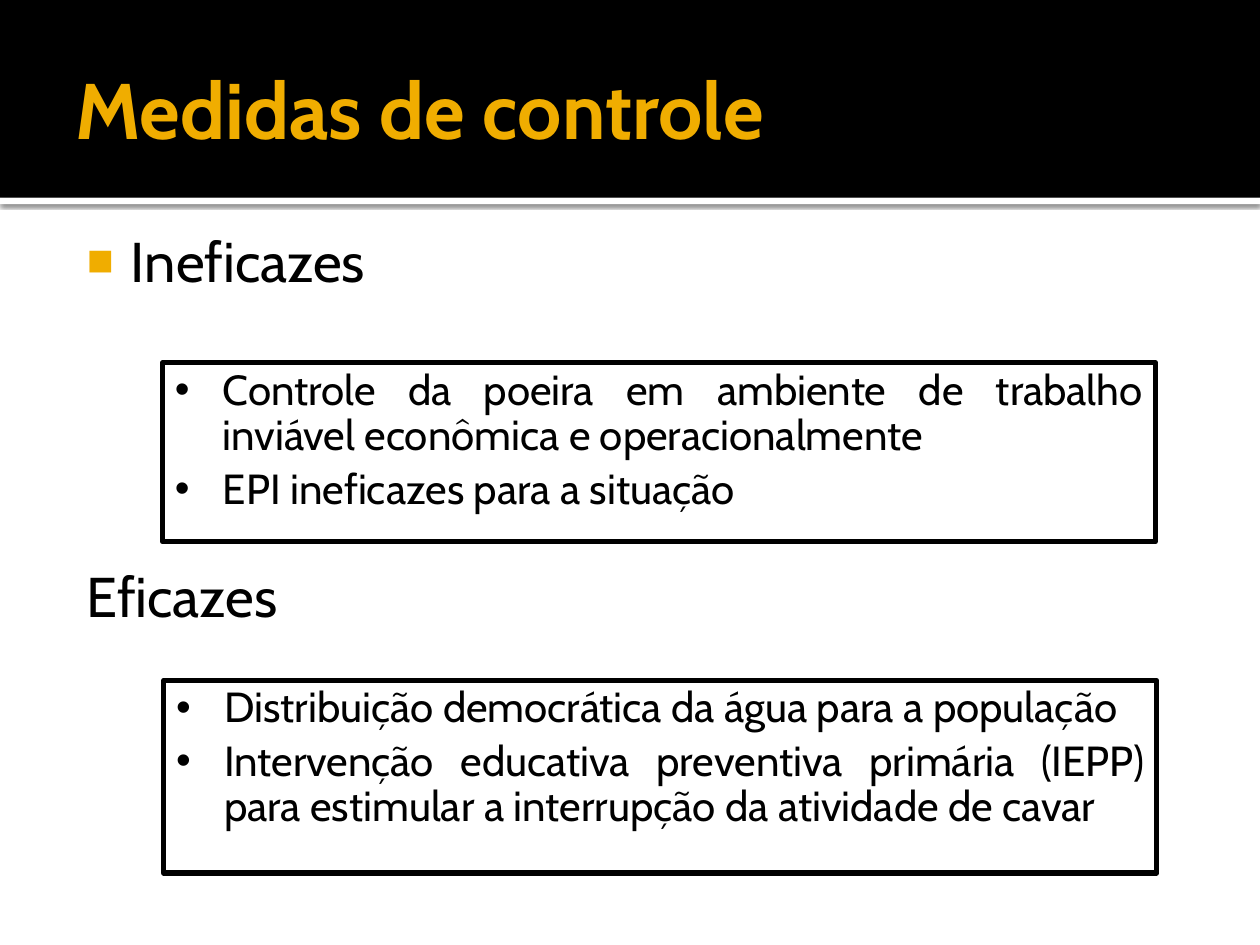
"""Build the slide on ineffective and effective control measures."""
from lxml import etree
from pptx import Presentation
from pptx import util as u
from pptx.dml.color import RGBColor
from pptx.enum import shapes, text
from pptx.oxml import parse_xml
from pptx.oxml.ns import nsdecls, qn

BLACK, WHITE, AMBER = "000000", "FFFFFF", "F0AD00"


def color(value):
    return RGBColor.from_string(value)


def write(paragraph, words, size=24, ink=BLACK, bold=False, bullet=None, bullet_ink=None,
          bullet_size=100, left=0, hanging=0, align=text.PP_ALIGN.LEFT, line=1, before=0):
    paragraph.alignment = align
    paragraph.line_spacing = line
    paragraph.space_before = u.Pt(before)
    properties = paragraph._p.get_or_add_pPr()
    properties.set("marL", str(u.Inches(left)))
    properties.set("indent", str(-u.Inches(hanging)))
    if bullet:
        tint = etree.SubElement(properties, qn("a:buClr"))
        etree.SubElement(tint, qn("a:srgbClr"), val=bullet_ink or ink)
        etree.SubElement(properties, qn("a:buSzPct"), val=str(bullet_size * 1000))
        etree.SubElement(properties, qn("a:buFont"), typeface="Arial")
        etree.SubElement(properties, qn("a:buChar"), char=bullet)
    span = paragraph.add_run()
    span.text = words
    span.font.name = "Cabin"
    span.font.size = u.Pt(size)
    span.font.bold = bold
    span.font.color.rgb = color(ink)


deck = Presentation()
deck.slide_width, deck.slide_height = u.Inches(10), u.Inches(7.5)
page = deck.slides.add_slide(deck.slide_layouts[6])

for top, height, fill in [(1.57, 0.05, WHITE), (0, 1.57, BLACK)]:
    band = page.shapes.add_shape(shapes.MSO_SHAPE.RECTANGLE, 0, u.Inches(top),
                                 u.Inches(10), u.Inches(height))
    band.shadow.inherit = False
    band.fill.solid()
    band.fill.fore_color.rgb = color(fill)
    band.line.fill.background()
    if fill == WHITE:
        effects = band._element.spPr.find(qn("a:effectLst"))
        effects.append(parse_xml(
            f'<a:outerShdw {nsdecls("a")} blurRad="{u.Pt(2.5)}" dist="{u.Pt(0.8)}" '
            f'dir="5400000" algn="tl" rotWithShape="0"><a:srgbClr val="{BLACK}">'
            '<a:alpha val="60000"/></a:srgbClr></a:outerShdw>'))

title = page.shapes.add_textbox(u.Inches(0.5), u.Inches(0.17), u.Inches(9), u.Inches(1.37))
title_frame = title.text_frame
title_frame.word_wrap = True
title_frame.vertical_anchor = text.MSO_ANCHOR.MIDDLE
title_frame.margin_right = u.Inches(0.05)
write(title_frame.paragraphs[0], "Medidas de controle", size=45, ink=AMBER, bold=True)

headings = page.shapes.add_textbox(u.Inches(0.5), u.Inches(1.7), u.Inches(9), u.Inches(5.51))
heading_frame = headings.text_frame
heading_frame.word_wrap = True
heading_frame.margin_left = u.Inches(0.06)
heading_frame.margin_top = u.Inches(0.1)
write(heading_frame.paragraphs[0], "Ineficazes", size=32, bullet="■", bullet_ink=AMBER,
      bullet_size=80, left=0.48, hanging=0.35)
write(heading_frame.add_paragraph(), "Eficazes", size=32, left=0.13, before=153)

measures = [
    (1.29, 2.88, 1.42, [
        "Controle da poeira em ambiente de trabalho inviável econômica e operacionalmente",
        "EPI ineficazes para a situação"]),
    (1.3, 5.4, 1.53, [
        "Distribuição democrática da água para a população",
        "Intervenção educativa preventiva primária (IEPP) para estimular a interrupção "
        "da atividade de cavar"]),
]
for left, top, height, items in measures:
    box = page.shapes.add_shape(shapes.MSO_SHAPE.RECTANGLE, u.Inches(left), u.Inches(top),
                                u.Inches(7.88), u.Inches(height))
    box.shadow.inherit = False
    box.fill.background()
    box.line.color.rgb = color(BLACK)
    box.line.width = u.Pt(3)
    frame = box.text_frame
    frame.word_wrap = True
    frame.vertical_anchor = text.MSO_ANCHOR.TOP
    for index, item in enumerate(items):
        paragraph = frame.add_paragraph() if index else frame.paragraphs[0]
        write(paragraph, item, bullet="•", left=0.38, hanging=0.38,
              align=text.PP_ALIGN.JUSTIFY, line=0.9, before=4.8 if index else 0)

deck.save("out.pptx")
